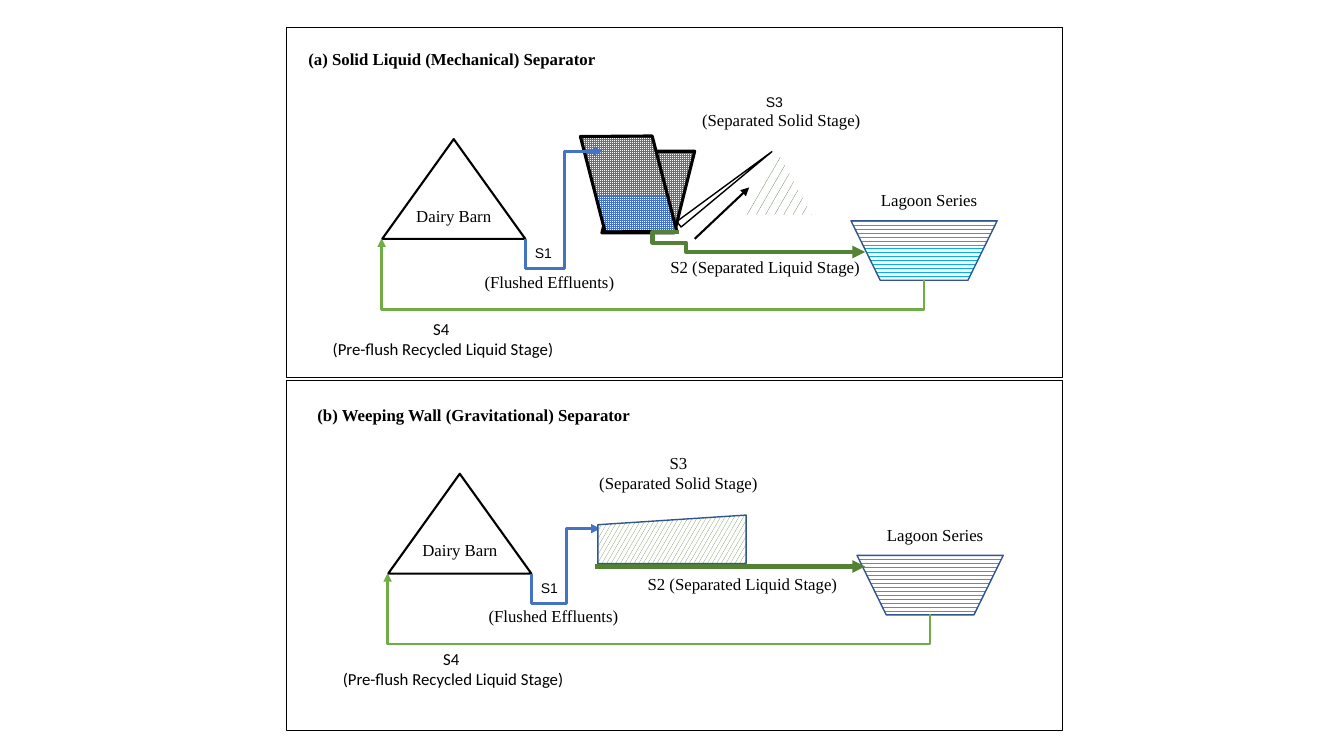
from lxml import etree
from pptx import Presentation
from pptx.dml.color import RGBColor
from pptx.enum.dml import MSO_PATTERN
from pptx.enum.shapes import MSO_CONNECTOR, MSO_SHAPE
from pptx.enum.text import MSO_ANCHOR, MSO_AUTO_SIZE, PP_ALIGN
from pptx.oxml.ns import qn
from pptx.util import Inches, Pt

BLACK = RGBColor(0x00, 0x00, 0x00)
WHITE = RGBColor(0xFF, 0xFF, 0xFF)
BLUE = RGBColor(0x44, 0x72, 0xC4)
NAVY = RGBColor(0x32, 0x54, 0x91)
CYAN = RGBColor(0x00, 0xB0, 0xF0)
GREEN = RGBColor(0x70, 0xAD, 0x47)
DARK_GREEN = RGBColor(0x54, 0x82, 0x35)
FOREST = RGBColor(0x38, 0x57, 0x23)
SERIF, SANS, TAG_FONT = "Times New Roman", "Calibri", "Arial"
LEFT, CENTER = PP_ALIGN.LEFT, PP_ALIGN.CENTER

deck = Presentation()
deck.slide_width, deck.slide_height = Inches(13.33), Inches(7.5)
page = deck.slides.add_slide(deck.slide_layouts[6])


def add_outline(kind, place, line=None, width=1, pattern=None, ink=None, turn=0):
    shape = page.shapes.add_shape(kind, *[Inches(value) for value in place])
    shape.shadow.inherit = False
    shape.rotation = turn
    if pattern is None:
        shape.fill.background()
    else:
        shape.fill.patterned()
        shape.fill.pattern = pattern
        shape.fill.fore_color.rgb = ink
        shape.fill.back_color.rgb = WHITE
    if line is None:
        shape.line.fill.background()
    else:
        shape.line.color.rgb = line
        shape.line.width = Pt(width)
    return shape


def add_arrow(start, end, color, width, turn=0, bends=()):
    kind = MSO_CONNECTOR.ELBOW if bends else MSO_CONNECTOR.STRAIGHT
    arrow = page.shapes.add_connector(kind, *[Inches(value) for value in start + end])
    arrow.line.color.rgb = color
    arrow.line.width = Pt(width)
    properties = arrow.element.spPr
    etree.SubElement(properties.find(qn("a:ln")), qn("a:tailEnd"), type="triangle")
    etree.SubElement(properties, qn("a:effectLst"))
    if bends:
        properties.find(qn("a:xfrm")).set("rot", str(turn * 60000))
        geometry = properties.find(qn("a:prstGeom"))
        geometry.set("prst", f"bentConnector{len(bends) + 2}")
        guides = geometry.find(qn("a:avLst"))
        for number, bend in enumerate(bends, 1):
            etree.SubElement(guides, qn("a:gd"), name=f"adj{number}",
                             fmla=f"val {round(bend * 100000)}")


for frame_top in (0.27, 3.77):
    add_outline(MSO_SHAPE.RECTANGLE, (2.84, frame_top, 7.7, 3.48), BLACK, 0.75)

for tank_place, tank_turn in (((5.97, 1.5, 0.92, 0.81), 180),
                              ((5.66, 1.48, 1.15, 0.69), 255.5)):
    add_outline(MSO_SHAPE.PARALLELOGRAM, tank_place, BLACK, 2.25,
                MSO_PATTERN.SMALL_GRID, BLUE, tank_turn)
conveyor = add_outline(MSO_SHAPE.TRAPEZOID, (7.16, 1.28, 0.07, 1.17), BLACK, turn=52)
conveyor.adjustments[0] = 0.5
add_arrow((6.89, 2.37), (7.43, 1.86), BLACK, 1.5)

mechanical = {
    "shift": (0, 0),
    "liquid": {"start": (8.58, 2.5), "end": (6.73, 2.3), "turn": 180,
               "bends": (-0.14, 0.54, 0.04)},
    "flush": {"start": (6.03, 1.55 + 0.77), "end": (5.16, 1.55), "bends": (-0.34, 0.5)},
}
weeping_wall = {
    "shift": (0.06, 3.32),
    "liquid": {"start": (5.9, 5.62), "end": (8.58, 5.62)},
    "flush": {"start": (5.84, 5.81), "end": (5.39, 5.13), "bends": (-0.66, 0.5)},
}
for system in (mechanical, weeping_wall):
    right, down = system["shift"]
    add_outline(MSO_SHAPE.ISOSCELES_TRIANGLE, (3.79 + right, 1.38 + down, 1.42, 0.99),
                BLACK, 1.5)
    add_outline(MSO_SHAPE.FLOWCHART_MANUAL_OPERATION,
                (8.44 + right, 2.19 + down, 1.45, 0.59), NAVY, 1, MSO_PATTERN.WAVE, CYAN)
    add_arrow(color=DARK_GREEN, width=3, **system["liquid"])
    add_arrow((6.68 + right, -0.12 + down), (6.27 + right, 5.26 + down), GREEN, 2,
              turn=90, bends=(-0.72,))
    add_arrow(color=BLUE, width=2.25, turn=90, **system["flush"])

solid_pile = add_outline(MSO_SHAPE.ISOSCELES_TRIANGLE, (7.41, 1.5, 0.64, 0.63),
                         pattern=MSO_PATTERN.SMALL_CONFETTI, ink=FOREST)
solid_pile.adjustments[0] = 0.47
add_outline(MSO_SHAPE.FLOWCHART_MANUAL_INPUT, (5.93, 5.11, 1.47, 0.48), NAVY, 1,
            MSO_PATTERN.LARGE_CONFETTI, DARK_GREEN)

for name, left, top in (("S1", 5.06, 2.27), ("S3", 7.35, 0.77), ("S1", 5.12, 5.59)):
    tag = add_outline(MSO_SHAPE.DODECAGON, (left, top, 0.66, 0.48))
    tag.text_frame.text = name
    tag.text_frame.vertical_anchor = MSO_ANCHOR.MIDDLE
    para = tag.text_frame.paragraphs[0]
    para.alignment = CENTER
    span = para.runs[0]
    span.font.size = Pt(10)
    span.font.name = TAG_FONT
    span.font.color.rgb = BLACK

titles = [
    ("(a) Solid Liquid (Mechanical) Separator", [(2.96, 0.43, 4.86, 0.3)]),
    ("(b) Weeping Wall (Gravitational) Separator", [(3.05, 3.97, 4.93, 0.3)]),
]
barns = [("Dairy Barn", [(4.03, 1.99, 1.05, 0.36), (4.09, 5.31, 1.05, 0.36)])]
stages = [
    ("Lagoon Series", [(8.57, 1.83, 1.29, 0.36), (8.63, 5.16, 1.29, 0.36)]),
    ("(Separated Solid Stage)", [(6.68, 1.04, 2.14, 0.3)]),
    ("S3\n(Separated Solid Stage)", [(5.8, 4.44, 1.86, 0.5)]),
    ("S2 (Separated Liquid Stage)", [(6.45, 2.5, 2.28, 0.3), (6.03, 5.64, 2.67, 0.3)]),
    ("(Flushed Effluents)", [(4.31, 2.65, 2.28, 0.3), (4.35, 5.96, 2.28, 0.3)]),
]
recycling = [
    ("S4 \n(Pre-flush Recycled Liquid Stage)",
     [(3.16, 3.11, 2.47, 0.5), (3.26, 6.39, 2.47, 0.5)]),
]
label_styles = [
    (titles, SERIF, True, LEFT),
    (barns, SERIF, False, LEFT),
    (stages, SERIF, False, CENTER),
    (recycling, SANS, False, CENTER),
]
for labels, font, bold, alignment in label_styles:
    for words, places in labels:
        for place in places:
            box = page.shapes.add_textbox(*[Inches(value) for value in place])
            box.text_frame.word_wrap = True
            box.text_frame.auto_size = MSO_AUTO_SIZE.SHAPE_TO_FIT_TEXT
            box.text_frame.text = words
            for para in box.text_frame.paragraphs:
                para.alignment = alignment
                span = para.runs[0]
                span.font.size = Pt(12)
                span.font.name = font
                span.font.bold = bold
                span.font.color.rgb = BLACK

deck.save("out.pptx")
